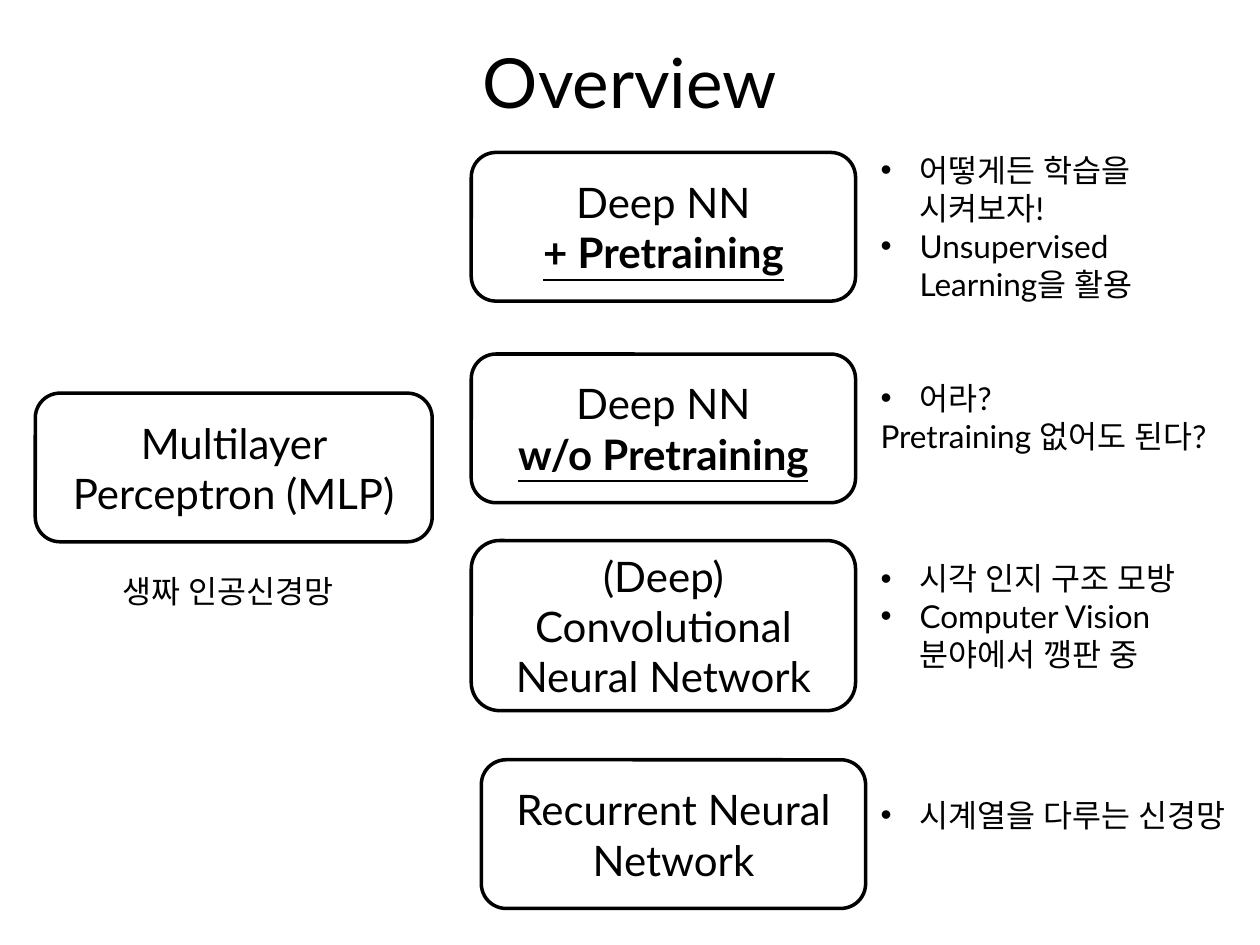
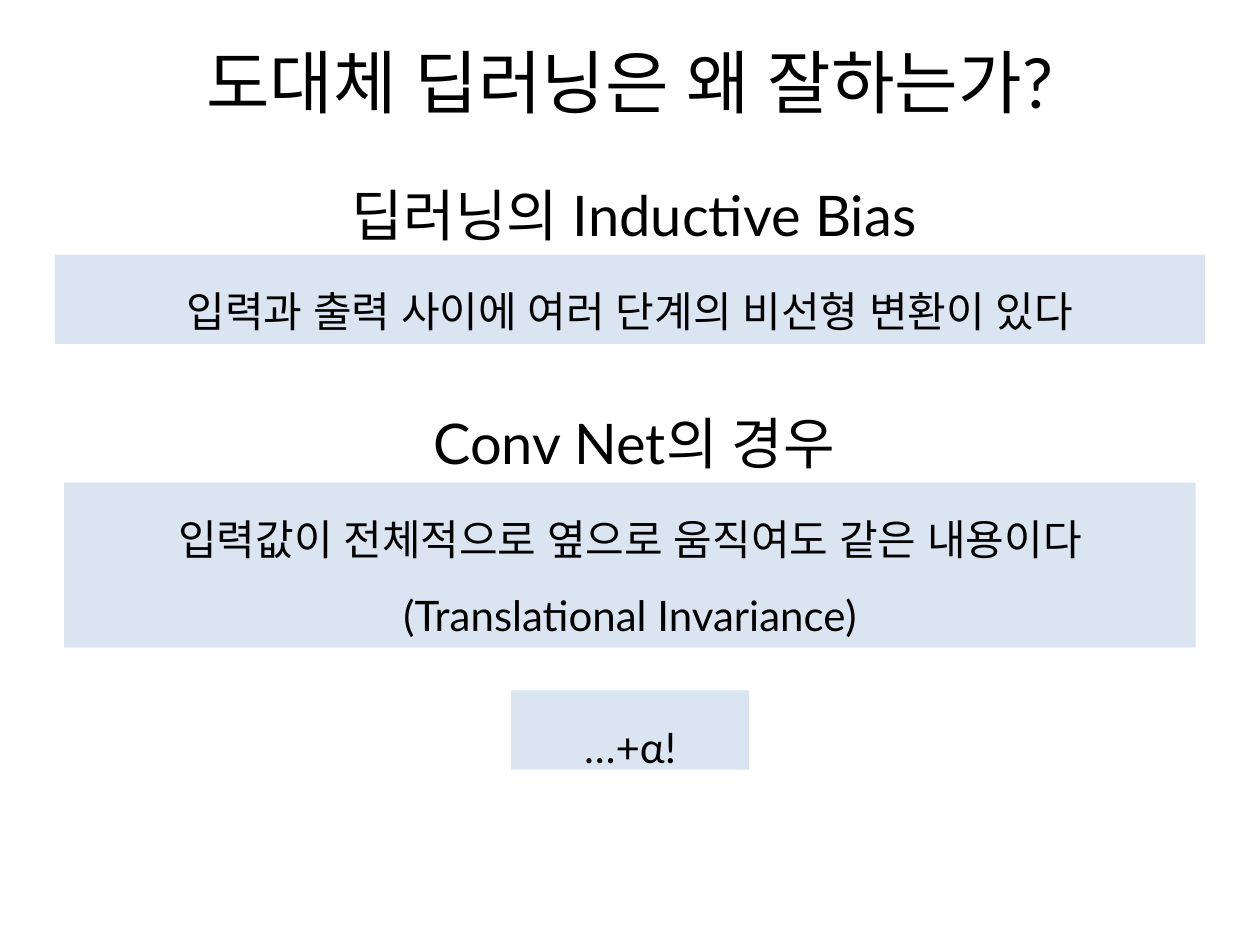
from lxml.etree import SubElement
from pptx import Presentation
from pptx.dml.color import RGBColor
from pptx.enum.shapes import MSO_SHAPE
from pptx.enum.text import MSO_ANCHOR, PP_ALIGN
from pptx.oxml.ns import qn
from pptx.util import Inches, Pt

FONT = "Lato"
BLACK, WHITE, PALE_BLUE = "000000", "FFFFFF", "DAE5F1"
SLIDE_WIDTH, SLIDE_HEIGHT = 10, 7.5
TITLE_SIZE, HEADING_SIZE, BOX_SIZE, NOTE_SIZE = 39.5, 32, 24, 18
NOTE_LEFT = 6.89
BULLET = "•"

OVERVIEW_TITLE = "Overview"
MODELS = [
    ((0.28, 3.12, 3.15, 1.18), ["Multilayer Perceptron (MLP)"]),
    ((3.74, 1.21, 3.05, 1.18), ["Deep NN", "+ Pretraining"]),
    ((3.74, 2.81, 3.05, 1.18), ["Deep NN", "w/o Pretraining"]),
    ((3.74, 4.29, 3.05, 1.35), ["(Deep)", "Convolutional Neural Network"]),
    ((3.82, 6.03, 3.05, 1.18), ["Recurrent Neural Network"]),
]
EMPHASIZED = {"+ Pretraining", "w/o Pretraining"}
MLP_NOTE = ((0.59, 4.49, 2.44, 0.4), ["생짜 인공신경망"])
NOTES = [
    (1.15, 2.91, 1.31, ["• 어떻게든 학습을 시켜보자!", "• Unsupervised Learning을 활용"]),
    (2.96, 2.91, 0.71, ["• 어라?", "Pretraining 없어도 된다?"]),
    (4.39, 2.91, 1.01, ["• 시각 인지 구조 모방", "• Computer Vision분야에서 깽판 중"]),
    (6.27, 3.07, 0.4, ["• 시계열을 다루는 신경망"]),
]

REASONS_TITLE = "도대체 딥러닝은 왜 잘하는가?"
HEADINGS = [(1.38, "딥러닝의 Inductive Bias"), (3.19, "Conv Net의 경우")]
BANDS = [
    (2.02, 9.13, 0.71, "입력과 출력 사이에 여러 단계의 비선형 변환이 있다"),
    (3.83, 8.98, 1.31,
     "입력값이 전체적으로 옆으로 움직여도 같은 내용이다(Translational Invariance)"),
    (5.48, 1.89, 0.63, "…+α!"),
]


def color(hex_string):
    return RGBColor.from_string(hex_string)


def add_bullet(paragraph):
    properties = paragraph._p.get_or_add_pPr()
    properties.set("marL", str(Inches(0.31)))
    properties.set("indent", str(-Inches(0.31)))
    SubElement(properties, qn("a:buFont")).set("typeface", "Arial")
    SubElement(properties, qn("a:buChar")).set("char", BULLET)


def write(shape, lines, size, align=PP_ALIGN.CENTER, anchor=MSO_ANCHOR.TOP, spacing=None):
    frame = shape.text_frame
    frame.word_wrap = True
    frame.vertical_anchor = anchor
    frame.text = "\n".join(line.removeprefix(BULLET + " ") for line in lines)
    for paragraph, line in zip(frame.paragraphs, lines):
        paragraph.alignment = align
        if spacing:
            paragraph.line_spacing = spacing
        if line.startswith(BULLET):
            add_bullet(paragraph)
        for run in paragraph.runs:
            run.font.size = Pt(size)
            run.font.name = FONT
            run.font.color.rgb = color(BLACK)
            if line in EMPHASIZED:
                run.font.bold = run.font.underline = True
            SubElement(run.font._element, qn("a:ea")).set("typeface", FONT)


def add_text(slide, place, lines, size, **style):
    box = slide.shapes.add_textbox(*map(Inches, place))
    write(box, lines, size, **style)


def add_box(slide, kind, place, lines, fill, outline=None, **style):
    shape = slide.shapes.add_shape(kind, *map(Inches, place))
    shape.shadow.inherit = False
    shape.fill.solid()
    shape.fill.fore_color.rgb = color(fill)
    if outline:
        shape.line.color.rgb = color(outline)
        shape.line.width = Pt(2)
    else:
        shape.line.fill.background()
    write(shape, lines, BOX_SIZE, **style)


def add_titled_slide(presentation, title):
    slide = presentation.slides.add_slide(presentation.slide_layouts[6])
    add_text(slide, (0.5, 0.3, 9, 0.69), [title], TITLE_SIZE, anchor=MSO_ANCHOR.MIDDLE)
    return slide


def build_overview(presentation):
    slide = add_titled_slide(presentation, OVERVIEW_TITLE)
    for place, lines in MODELS:
        add_box(slide, MSO_SHAPE.ROUNDED_RECTANGLE, place, lines, WHITE, BLACK,
                anchor=MSO_ANCHOR.MIDDLE)
    add_text(slide, *MLP_NOTE, NOTE_SIZE)
    for top, width, height, lines in NOTES:
        add_text(slide, (NOTE_LEFT, top, width, height), lines, NOTE_SIZE, align=PP_ALIGN.LEFT)


def build_reasons(presentation):
    slide = add_titled_slide(presentation, REASONS_TITLE)
    for top, heading in HEADINGS:
        add_text(slide, (2.32, top, 5.43, 0.64), [heading], HEADING_SIZE)
    for top, width, height, line in BANDS:
        left = (SLIDE_WIDTH - width) / 2
        add_box(slide, MSO_SHAPE.RECTANGLE, (left, top, width, height), [line], PALE_BLUE,
                spacing=1.5)


def main():
    presentation = Presentation()
    presentation.slide_width = Inches(SLIDE_WIDTH)
    presentation.slide_height = Inches(SLIDE_HEIGHT)
    build_overview(presentation)
    build_reasons(presentation)
    presentation.save("out.pptx")


if __name__ == "__main__":
    main()
